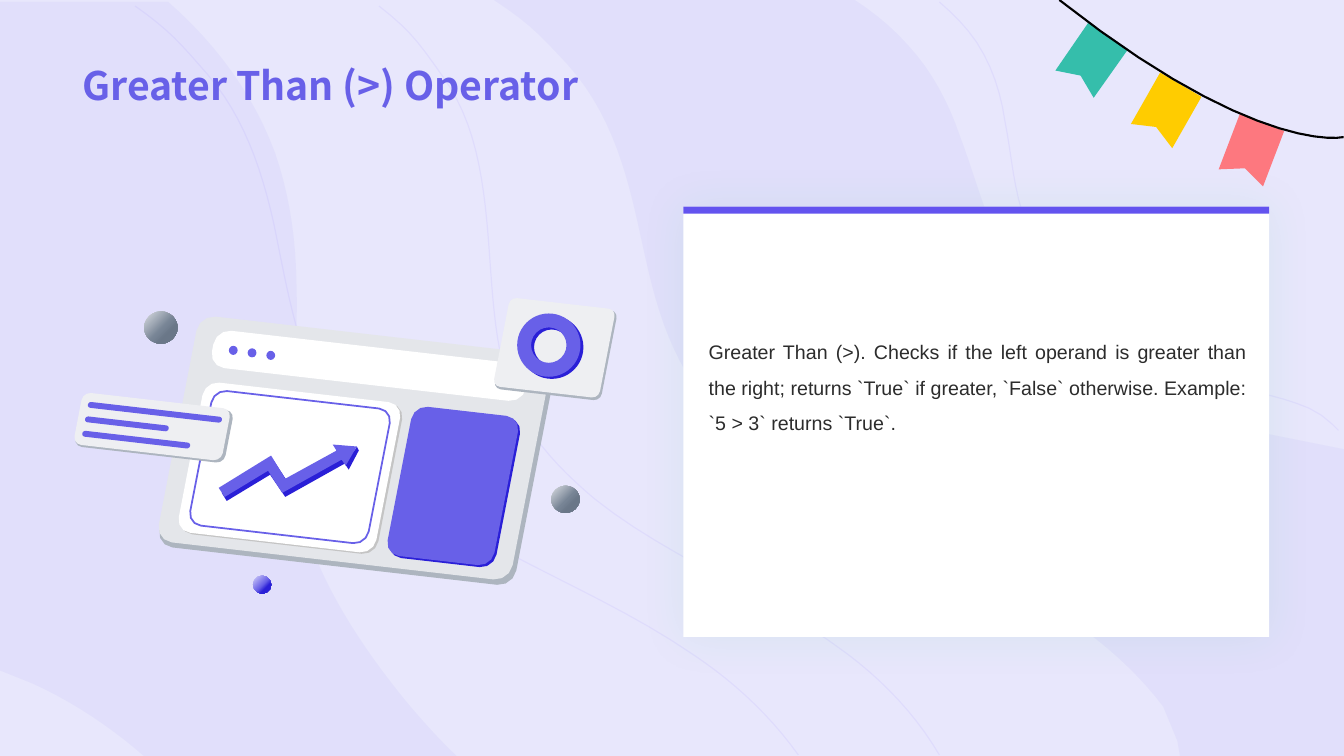
import copy
import math

import pptx
import pptx.dml.color
import pptx.enum.shapes
import pptx.enum.text
import pptx.oxml.ns
import pptx.util
from lxml import etree

Pt = pptx.util.Pt
qn = pptx.oxml.ns.qn
MSO_SHAPE = pptx.enum.shapes.MSO_SHAPE
PP_ALIGN = pptx.enum.text.PP_ALIGN
MSO_ANCHOR = pptx.enum.text.MSO_ANCHOR
MSO_AUTO_SIZE = pptx.enum.text.MSO_AUTO_SIZE


def rgb(value):
    return pptx.dml.color.RGBColor.from_string(value)


def bezier(a, b, c, d):
    n = min(12, max(3, math.ceil(math.dist(a, d) / 14)))
    for i in range(1, n + 1):
        t = i / n
        u = 1 - t
        yield tuple(u**3 * a[k] + 3 * u * u * t * b[k] + 3 * u * t * t * c[k] + t**3 * d[k]
                    for k in (0, 1))


class Deck:
    PURPLE, DEEP, ACCENT = "6860E8", "2A1FD7", "6353EF"
    STEEL, PALE, WHITE = "ADB5BF", "EEEFF2", "FFFFFF"
    GRID = 0.72
    SLOPE, LEAN = 0.115, -0.194

    def __init__(self, width, height):
        self.prs = pptx.Presentation()
        self.prs.slide_width, self.prs.slide_height = Pt(width), Pt(height)
        self.s = self.prs.slides.add_slide(self.prs.slide_layouts[6])

    def background(self, color):
        fill = self.s.background.fill
        fill.solid()
        fill.fore_color.rgb = rgb(color)

    def style(self, sp, fill=None, line=None, width=1, alpha=None):
        sp.shadow.inherit = False
        if fill:
            sp.fill.solid()
            sp.fill.fore_color.rgb = rgb(fill)
        else:
            sp.fill.background()
        if line:
            sp.line.color.rgb = rgb(line)
            sp.line.width = Pt(width)
        else:
            sp.line.fill.background()
        if alpha:
            for clr in sp._element.spPr.iter(qn("a:srgbClr")):
                etree.SubElement(clr, qn("a:alpha"), val=str(alpha * 1000))
        return sp

    def shape(self, kind, x, y, w, h, fill=None):
        sp = self.s.shapes.add_shape(kind, Pt(x), Pt(y), Pt(w), Pt(h))
        return self.style(sp, fill)

    def outline(self, start, steps, closed=True, **look):
        points = [start]
        for step in steps:
            if len(step) == 2:
                points.append(step)
            else:
                points.extend(list(bezier(points[-1], step[:2], step[2:4], step[4:])))
        points = [(x * self.GRID * 100, y * self.GRID * 100) for x, y in points]
        fb = self.s.shapes.build_freeform(*points[0], scale=Pt(0.01))
        fb.add_line_segments(points[1:], close=closed)
        return self.style(fb.convert_to_shape(), **look)

    def panel(self, x, y, w, h, r, **look):
        def at(u, v):
            return x + u + self.LEAN * v, y + v + self.SLOPE * u

        k = r * 0.45
        steps = [
            at(w - r, 0), at(w - k, 0) + at(w, k) + at(w, r),
            at(w, h - r), at(w, h - k) + at(w - k, h) + at(w - r, h),
            at(r, h), at(k, h) + at(0, h - k) + at(0, h - r),
            at(0, r), at(0, k) + at(k, 0) + at(r, 0),
        ]
        return self.outline(at(r, 0), steps, **look)

    def sphere(self, x, y, w, h, colors):
        sp = self.shape(MSO_SHAPE.OVAL, x, y, w, h)
        sp.fill.gradient()
        sp.fill.gradient_angle = 315
        gs_lst = sp._element.spPr.find(".//" + qn("a:gsLst"))
        gs_lst.append(copy.deepcopy(gs_lst[-1]))
        for stop, position, color in zip(sp.fill.gradient_stops, (0.1, 0.54, 0.71), colors):
            stop.position = position
            stop.color.rgb = rgb(color)

    def ring(self, x, y, size, fill):
        sp = self.shape(MSO_SHAPE.DONUT, x, y, size, size, fill)
        sp.adjustments[0] = 0.22

    def glow(self, sp, color, alpha, blur):
        effects = sp._element.spPr.find(qn("a:effectLst"))
        shadow = etree.SubElement(effects, qn("a:outerShdw"), blurRad=str(Pt(blur)),
                                  dist="0", dir="0", algn="ctr", rotWithShape="0")
        clr = etree.SubElement(shadow, qn("a:srgbClr"), val=color)
        etree.SubElement(clr, qn("a:alpha"), val=str(alpha * 1000))

    def text(self, x, y, w, h, words, font, size, color, bold=False):
        sp = self.s.shapes.add_textbox(Pt(x), Pt(y), Pt(w), Pt(h))
        tf = sp.text_frame
        tf.word_wrap = True
        p = tf.paragraphs[0]
        p.text = words
        p.font.name, p.font.size, p.font.bold = font, Pt(size), bold
        p.font.color.rgb = rgb(color)
        return tf


def draw_backdrop(d):
    d.background("E8E7FC")
    wave = dict(fill=d.ACCENT, alpha=5)
    d.outline((848, 0), [
        (490, 0), (525, 23, 536, 35, 563, 64), (599, 104, 616, 152, 628, 201),
        (640, 250, 647, 300, 669, 347), (680, 371, 695, 393, 714, 412),
        (732, 430, 752, 446, 774, 461), (859, 518, 962, 551, 1048, 606),
        (1090, 633, 1126, 664, 1154, 701), (1168, 735), (1171, 752), (1335, 752),
        (1335, 446), (1250, 429), (1212, 421, 1175, 409, 1142, 390),
        (1077, 353, 1021, 300, 990, 238), (974, 204, 965, 168, 952, 134),
        (941, 102, 925, 71, 901, 45), (886, 28, 868, 13, 848, 0)], **wave)
    d.outline((167, 2), [
        (-3, 2), (-3, 664), (32, 678), (74, 697, 112, 723, 145, 752), (455, 752),
        (435, 733, 419, 715, 403, 696), (372, 658, 344, 618, 323, 575),
        (300, 529, 293, 478, 292, 428), (291, 378, 296, 327, 294, 276),
        (293, 234, 287, 193, 273, 152), (252, 95, 215, 44, 167, 2)], **wave)
    threads = [
        ((792, 749), [
            (764, 710, 729, 677, 687, 649), (601, 590, 499, 555, 415, 495),
            (394, 479, 374, 462, 356, 443), (337, 422, 322, 399, 311, 374),
            (290, 324, 282, 271, 271, 219), (259, 167, 242, 116, 206, 74),
            (179, 43, 168, 30, 134, 6)]),
        ((932, 2), [
            (946, 14, 959, 27, 969, 42), (984, 65, 993, 92, 997, 120),
            (1003, 150, 1005, 181, 1014, 210), (1029, 265, 1067, 311, 1116, 344),
            (1140, 360, 1168, 371, 1198, 378), (1227, 386, 1258, 390, 1286, 400),
            (1299, 404, 1312, 411, 1322, 421), (1328, 427)]),
        ((932, 749), [
            (909, 710, 878, 677, 841, 649), (763, 590, 665, 555, 590, 495),
            (571, 479, 553, 462, 538, 443), (521, 422, 510, 399, 502, 374),
            (488, 324, 488, 271, 483, 219), (478, 167, 469, 116, 438, 74),
            (416, 43, 407, 30, 376, 6)]),
    ]
    for start, steps in threads:
        d.outline(start, steps, closed=False, line="593CFC", width=0.85, alpha=5)


def draw_bunting(d):
    flags = [
        ("FD787F", [(1274, 130), (1253, 185), (1235, 167), (1209, 168), (1230, 113)]),
        ("FFCC00", [(1192, 96), (1163, 147), (1147, 126), (1122, 123), (1151, 72)]),
        ("35BEAB", [(1119, 49), (1085, 97), (1072, 75), (1047, 70), (1080, 22)]),
    ]
    for color, corners in flags:
        d.outline(corners[0], corners[1:], fill=color)
    d.outline((1333, 136), [(1311, 140, 1221, 134, 1051, 0)],
              closed=False, line="000000", width=1.5)


def draw_dashboard(d):
    panels = [
        (199, 315.3, 354, 226, 16, d.STEEL),
        (198, 312.3, 351, 224, 16, "E4E6EA"),
        (205.6, 379.5, 196, 149, 14, "C4C4C4"),
        (203.6, 378, 196, 149, 14, d.WHITE),
    ]
    for *box, color in panels:
        d.panel(*box, fill=color)
    d.panel(212.2, 386.5, 177, 133.5, 13, line=d.PURPLE, width=1.25)
    for shift, color in ((2, d.DEEP), (0, d.PURPLE)):
        d.panel(410.6 + shift, 402 + shift, 106, 148, 14, fill=color)
    d.panel(214.6, 326.5, 312, 37, 15, fill=d.WHITE)
    for i in range(3):
        d.shape(MSO_SHAPE.OVAL, 163.5 + 13.4 * i, 247 + 1.8 * i, 6.3, 6.5, d.PURPLE)

    d.outline((354, 443), [
        (352, 447), (333, 445), (336, 452), (286, 479), (271, 456), (220, 489),
        (225, 497), (268, 471), (283, 493), (342, 460), (346, 466), (356, 447)], fill=d.DEEP)
    d.outline((217, 484), [
        (269, 452), (283, 475), (334, 447), (330, 441), (354, 443), (343, 462),
        (339, 456), (280, 489), (266, 467), (223, 493)], fill=d.PURPLE)

    d.panel(507, 296.5, 106, 89, 7, fill=d.STEEL)
    d.panel(506, 295, 105, 88, 7, fill=d.PALE)
    d.ring(371.5, 225.4, 45.2, d.DEEP)
    d.ring(369.4, 223.9, 45.2, d.PURPLE)

    d.panel(83.4, 390.6, 149, 52, 8, fill=d.STEEL)
    d.panel(82.4, 389, 147, 51.5, 8, fill=d.PALE)
    for i, length in enumerate((133, 83, 107)):
        d.panel(87.8 - 2.8 * i, 398.5 + 14.3 * i, length, 5.8, 2.9, fill=d.PURPLE)

    grey = ("C9CED5", "778495", "6A7788")
    d.sphere(103, 222.5, 23.8, 23, grey)
    d.sphere(393.8, 347, 20.2, 19.4, grey)
    d.sphere(180.7, 411.1, 13, 13, ("C3BFF6", d.PURPLE, d.DEEP))


def draw_card(d):
    x, y, w, h = 488.2, 147.6, 418.3, 307.4
    card = d.shape(MSO_SHAPE.RECTANGLE, x, y, w, h, d.WHITE)
    d.glow(card, "13BB69", 7, 33)
    tf = d.text(506.2, 234.7, 384.5, 45.4,
                "Greater Than (>). Checks if the left operand is greater than the right; "
                "returns `True` if greater, `False` otherwise. Example: `5 > 3` returns `True`.",
                "Arial", 14, "2C2C2C")
    tf.margin_left = tf.margin_right = tf.margin_top = tf.margin_bottom = 0
    tf.auto_size = MSO_AUTO_SIZE.SHAPE_TO_FIT_TEXT
    tf.paragraphs[0].alignment = PP_ALIGN.JUSTIFY
    tf.paragraphs[0].line_spacing = 1.5
    d.shape(MSO_SHAPE.RECTANGLE, x, y, w, 5, d.ACCENT)


def main():
    d = Deck(960, 540)
    draw_backdrop(d)
    draw_bunting(d)
    draw_dashboard(d)
    tf = d.text(51.8, 0, 855.4, 80.6, "Greater Than (>) Operator",
                "Noto Sans CJK SC", 28, d.PURPLE, bold=True)
    tf.vertical_anchor = MSO_ANCHOR.BOTTOM
    draw_card(d)
    d.prs.save("out.pptx")


if __name__ == "__main__":
    main()
